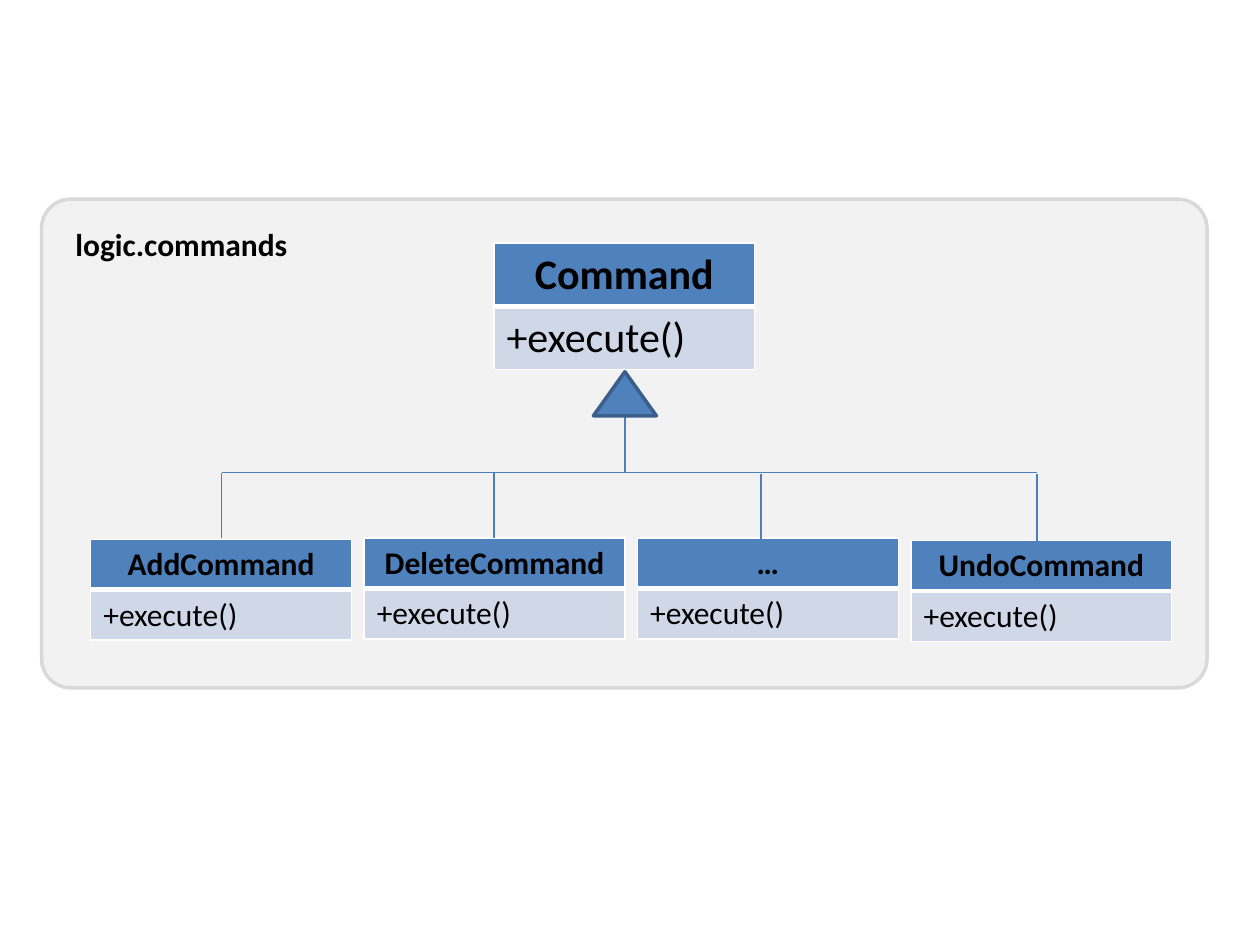
from dataclasses import dataclass

from pptx import Presentation
from pptx.dml.color import RGBColor as Rgb
from pptx.enum.shapes import MSO_CONNECTOR as Connector, MSO_SHAPE as Shape
from pptx.enum.text import MSO_AUTO_SIZE as AutoSize, PP_ALIGN as Align
from pptx.oxml.ns import qn
from pptx.util import Pt
from lxml.etree import SubElement

PX = 9144  # 100 px to the inch


@dataclass(frozen=True)
class Theme:
    font: str = "Calibri"
    text: str = "000000"
    panel: str = "F2F2F2"
    panel_line: str = "D9D9D9"
    header: str = "4F81BD"
    body: str = "D0D8E8"
    border: str = "FFFFFF"
    link: str = "4B7EBC"
    arrow_line: str = "3A5F8C"
    parent_size: int = 24
    child_size: int = 18


THEME = Theme()
CLASS_WIDTH = 207
CLASS_PITCH = 217
PARENT_ROW = 50
CHILD_ROW = 40
# name, top of class box, x of link, top of link, bottom of link
CHILDREN = [
    ("AddCommand", 270, 143, 217, 269),
    ("DeleteCommand", 269, 359, 217, 269),
    ("…", 269, 571, 218, 271),
    ("UndoCommand", 271, 790, 218, 271),
]


def px(*lengths):
    return [length * PX for length in lengths]


def style_text(para, size, bold):
    font = para.font
    font.name, font.size, font.bold = THEME.font, Pt(size), bold
    font.color.rgb = Rgb.from_string(THEME.text)


def add_outlined(page, kind, left, top, width, height, fill, line):
    shape = page.shapes.add_shape(kind, *px(left, top, width, height))
    shape.shadow.inherit = False
    shape.fill.solid()
    shape.fill.fore_color.rgb = Rgb.from_string(fill)
    shape.line.color.rgb = Rgb.from_string(line)
    shape.line.width = Pt(2)
    return shape


def add_link(page, start_x, start_y, end_x, end_y):
    link = page.shapes.add_connector(
        Connector.STRAIGHT, *px(start_x, start_y, end_x, end_y))
    link.line.color.rgb = Rgb.from_string(THEME.link)
    link.line.width = Pt(0.75)
    SubElement(link._element.spPr, qn("a:effectLst"))


def set_borders(cell, **widths):
    """Draw the cell's edges, given in the order L, R, T, B, in points."""
    properties = cell._tc.get_or_add_tcPr()
    for side, width in widths.items():
        edge = SubElement(properties, qn(f"a:ln{side}"), w=str(Pt(width)))
        fill = SubElement(edge, qn("a:solidFill"))
        SubElement(fill, qn("a:srgbClr"), val=THEME.border)


def add_class(page, left, top, name, size, row_height):
    """Add a UML class: its name above its one method."""
    table = page.shapes.add_table(
        2, 1, *px(left, top, CLASS_WIDTH, 2 * row_height)).table
    rows = [
        (name, THEME.header, True, Align.CENTER, 1, 3),
        ("+execute()", THEME.body, False, Align.LEFT, 3, 1),
    ]
    for index, (text, fill, bold, align, above, below) in enumerate(rows):
        cell = table.cell(index, 0)
        set_borders(cell, L=1, R=1, T=above, B=below)
        cell.fill.solid()
        cell.fill.fore_color.rgb = Rgb.from_string(fill)
        cell.text = text
        para = cell.text_frame.paragraphs[0]
        para.alignment = align
        style_text(para, size, bold)


def add_package_label(page, left, top, text):
    box = page.shapes.add_textbox(*px(left, top, 208, 40))
    frame = box.text_frame
    frame.word_wrap = True
    frame.auto_size = AutoSize.SHAPE_TO_FIT_TEXT
    frame.text = text
    style_text(frame.paragraphs[0], THEME.child_size, True)


def add_package(page, left, top, width, height):
    panel = add_outlined(page, Shape.ROUNDED_RECTANGLE, left, top, width,
                         height, THEME.panel, THEME.panel_line)
    panel.adjustments[0] = 0.06
    add_package_label(page, left + 17, top + 16, "logic.commands")
    add_class(page, left + 359, top + 35, "Command",
              THEME.parent_size, PARENT_ROW)
    for index, (name, box_top, *_) in enumerate(CHILDREN):
        add_class(page, left + 39 + index * CLASS_PITCH, top + box_top,
                  name, THEME.child_size, CHILD_ROW)
    add_inheritance(page, left, top)


def add_inheritance(page, left, top):
    """Link every child class to the triangle under the parent."""
    bus = top + 217
    for _, _, x, link_top, link_bottom in CHILDREN:
        add_link(page, left + x, top + link_bottom, left + x, top + link_top)
    first_x, last_x = CHILDREN[0][2], CHILDREN[-1][2]
    add_link(page, left + first_x, bus, left + last_x, bus)
    add_link(page, left + 463, bus, left + 463, top + 171)
    add_outlined(page, Shape.ISOSCELES_TRIANGLE, left + 438, top + 137,
                 50, 35, THEME.header, THEME.arrow_line)


def main():
    deck = Presentation()
    deck.slide_width, deck.slide_height = px(1000, 750)
    page = deck.slides.add_slide(deck.slide_layouts[6])
    add_package(page, 33, 158, 925, 388)
    deck.save("out.pptx")


if __name__ == "__main__":
    main()
